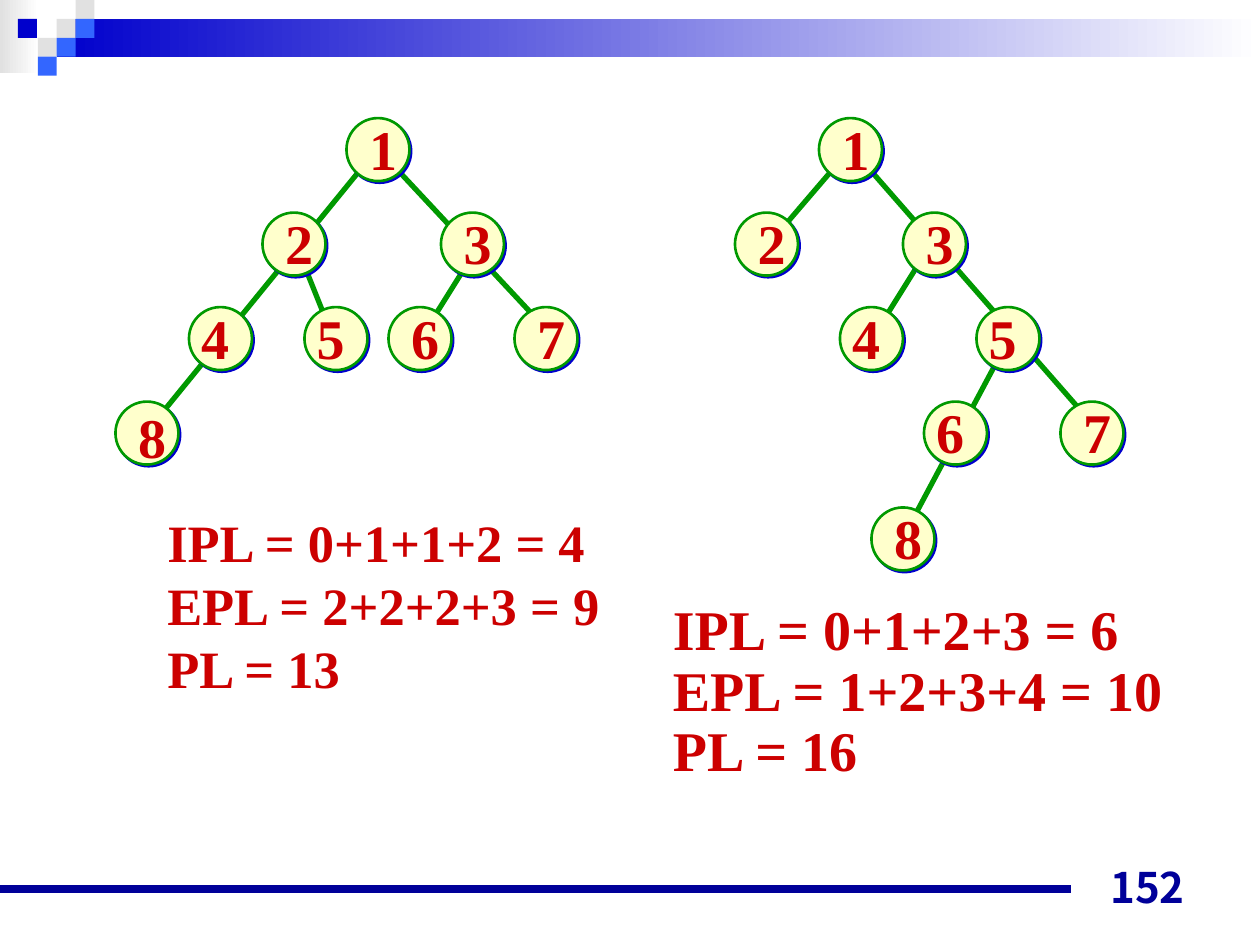
from lxml.etree import SubElement
from pptx import Presentation
from pptx.dml.color import RGBColor
from pptx.enum.shapes import MSO_CONNECTOR as CON, MSO_SHAPE as SHP
from pptx.enum.text import MSO_ANCHOR as ANC, PP_ALIGN as AL
from pptx.oxml.ns import qn
from pptx.util import Inches, Pt

prs = Presentation()
prs.slide_width, prs.slide_height = Inches(10), Inches(7.5)
s = prs.slides.add_slide(prs.slide_layouts[6])
COL, ROW = prs.slide_width / 120, prs.slide_height / 90
rgb = RGBColor.from_string


def grid(x, y, w, h):
    return [round(v) for v in (x * COL, y * ROW, w * COL, h * ROW)]


def add_text(box, lines, fmt, anchor=ANC.MIDDLE, align=AL.LEFT, spacing=None, wrap=True):
    tf = s.shapes.add_textbox(*grid(*box)).text_frame
    tf.word_wrap, tf.vertical_anchor = wrap, anchor
    for i, line in enumerate(lines):
        p = tf.paragraphs[0] if i == 0 else tf.add_paragraph()
        p.alignment, p.line_spacing = align, spacing
        r = p.add_run()
        r.text = line
        r.font.color.rgb = rgb(fmt["color"])
        for key in ("name", "size", "bold"):
            setattr(r.font, key, fmt[key])


TREE = {"name": "Times New Roman", "size": Pt(32), "bold": True, "color": "CC0000"}
SUMS = {**TREE, "size": Pt(30)}
PAGE = {"name": "Noto Sans CJK JP", "size": Pt(24), "bold": True, "color": "000099"}

for box, end in [((0, 0, 3.7, 7), "E1E1E1"), ((5.4, 1.8, 114.6, 3.6), "0000CC")]:
    sp = s.shapes.add_shape(SHP.RECTANGLE, *grid(*box))
    sp.shadow.inherit = False
    sp.line.fill.background()
    sp.fill.gradient()
    sp.fill.gradient_angle = 180
    for stop, color in zip(sp.fill.gradient_stops, ("FFFFFF", end)):
        stop.color.rgb = rgb(color)

SQUARE = 1.8
for color, cells in {
    "E1E1E1": [(3, 1), (4, 0), (2, 2)],
    "3366FF": [(4, 1), (3, 2), (2, 3)],
    "0000CC": [(0.95, 1)],
}.items():
    for c, r in cells:
        sp = s.shapes.add_shape(SHP.RECTANGLE, *grid(c * SQUARE, r * SQUARE, SQUARE, SQUARE))
        sp.shadow.inherit = False
        sp.fill.solid()
        sp.fill.fore_color.rgb = rgb(color)
        sp.line.fill.background()

branches = [
    (45, 24.33, 40, 32.33), (29, 25.33, 31, 30.33), (38, 16.33, 52, 31.33), (35, 15.33, 13, 42.33),
    (88, 24.33, 83, 32.33), (95, 34.33, 87, 49.33), (83, 16.33, 104, 40.33), (80, 15.33, 74, 22.33),
]
strokes = [((0, 84.7, 102, 84.7), "000099", 4.5)] + [(b, "009900", 3) for b in branches]
for ends, color, width in strokes:
    line = s.shapes.add_connector(CON.STRAIGHT, *grid(*ends))
    line.line.color.rgb = rgb(color)
    line.line.width = Pt(width)
    SubElement(line._element.spPr, qn("a:effectLst"))

LEVELS = [11.25, 20.25, 29.25, 38.25, 48.33]
left_tree = [(33, 0, 0), (25, 1, 0), (42, 1, 0), (18, 2, -1),
             (29, 2, -1), (37, 2, 0), (49, 2, 0), (11, 3, 0)]
right_tree = [(78, 0, 0), (70, 1, 0), (86, 1, 0), (80, 2, -1),
              (93, 2, -1), (88, 3, -1), (101, 3, 0), (83, 4, 0)]
for tree in (left_tree, right_tree):
    for number, (x, level, shift) in enumerate(tree, 1):
        y = LEVELS[level]
        sp = s.shapes.add_shape(SHP.OVAL, *grid(x, y, 6, 6))
        sp.fill.solid()
        sp.fill.fore_color.rgb = rgb("FFFFCC")
        sp.line.color.rgb = rgb("009900")
        sp.line.width = Pt(1.5)
        sp.shadow.inherit = False
        effects = sp._element.spPr.find(qn("a:effectLst"))
        shadow = SubElement(effects, qn("a:outerShdw"), blurRad="0", dist=str(Pt(1.4)), dir="2700000")
        SubElement(shadow, qn("a:srgbClr"), val="0000CC")
        drop = 0.4 if (x, level) == (11, 3) else 0
        add_text((x + shift, y - 1 + drop, 7, 7.7), [str(number)], TREE, align=AL.CENTER)

add_text((14.75, 48, 43.8, 19.2), ["IPL = 0+1+1+2 = 4", "EPL = 2+2+2+3 = 9", "PL = 13"],
         SUMS, wrap=False)
add_text((62.9, 56.75, 49.3, 18.5), ["IPL = 0+1+2+3 = 6", "EPL = 1+2+3+4 = 10", "PL = 16"],
         TREE, spacing=0.9, wrap=False)
add_text((86, 81.4, 28, 6), ["152"], PAGE, anchor=ANC.BOTTOM, align=AL.RIGHT)

prs.save("out.pptx")
